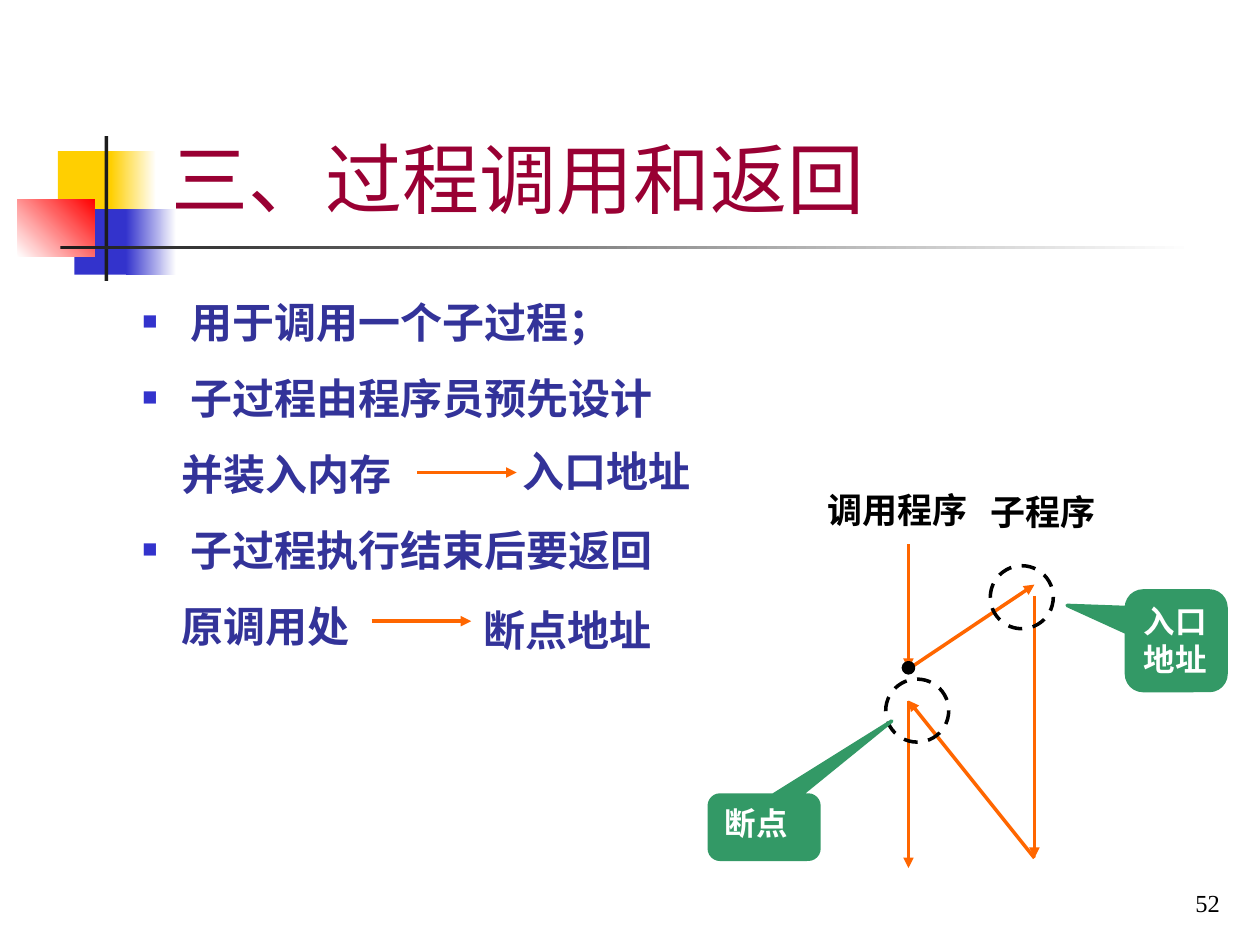
from lxml import etree
from pptx import Presentation
from pptx import util as u
from pptx.dml.color import RGBColor
from pptx.enum import dml, shapes, text
from pptx.oxml.ns import qn

COLS, ROWS = 10, 7.5
UNIT = u.Inches(1)  # one column or row of the slide grid
KIND = shapes.MSO_SHAPE
INK = {
    "gold": "FFCF01", "blue": "3333CC", "red": "FF0000", "white": "FFFFFF",
    "dark": "1C1C1C", "wine": "990033", "navy": "333399", "black": "000000",
    "flow": "FF6600", "green": "339966",
}
SERIF, SANS = "Times New Roman", "Arial"
HEAD = {"size": u.Pt(44), "name": SERIF, "bold": False}
LIST = {"size": u.Pt(24), "name": SERIF, "bold": True}
NOTE = {"size": u.Pt(24), "name": SANS, "bold": True}
LABEL = {"size": u.Pt(20), "name": SANS, "bold": True}
CALL = {"size": u.Pt(18), "name": SERIF, "bold": True}
PAGE = {"size": u.Pt(14), "name": SERIF, "bold": False}
FRAME = {"word_wrap": True, "auto_size": text.MSO_AUTO_SIZE.NONE,
         "vertical_anchor": text.MSO_ANCHOR.TOP}
ROW = {"line_spacing": 1.3, "space_before": u.Pt(4.5),
       "space_after": u.Pt(1.5), "alignment": text.PP_ALIGN.LEFT}
POINTS = [
    ("用于调用一个子过程；", True),
    ("子过程由程序员预先设计", True),
    ("并装入内存", False),
    ("子过程执行结束后要返回", True),
    ("原调用处", False),
]


def grid(*cells):
    return [round(n * UNIT) for n in cells]


def rgb(ink):
    return RGBColor.from_string(INK[ink])


def apply(item, form):
    for key, val in form.items():
        setattr(item, key, val)


def write(para, words, font, ink):
    run = para.add_run()
    run.text = words
    apply(run.font, font)
    run.font.color.rgb = rgb(ink)


def place(item, box):
    apply(item, dict(zip(("left", "top", "width", "height"), grid(*box))))


def draw(slide, kind, box, fill=None, line=None, dash=False):
    item = slide.shapes.add_shape(kind, *grid(*box))
    item.shadow.inherit = False
    if fill:
        item.fill.solid()
        item.fill.fore_color.rgb = rgb(fill)
    else:
        item.fill.background()
    if line:
        item.line.color.rgb = rgb(line)
        item.line.width = u.Pt(2)
        if dash:
            item.line.dash_style = dml.MSO_LINE.DASH
    else:
        item.line.fill.background()
    return item


def fade(slide, box, start, end, angle=0):
    item = draw(slide, KIND.RECTANGLE, box)
    item.fill.gradient()
    item.fill.gradient_angle = angle
    for stop, ink in zip(item.fill.gradient_stops, (start, end)):
        stop.color.rgb = rgb(ink)


def decor(slide):
    draw(slide, KIND.RECTANGLE, (0.46, 1.2, 0.48, 0.52), "gold")
    fade(slide, (0.88, 1.2, 0.36, 0.52), "gold", "white")
    draw(slide, KIND.RECTANGLE, (0.59, 1.66, 0.46, 0.52), "blue")
    fade(slide, (1, 1.66, 0.4, 0.52), "blue", "white")
    fade(slide, (0.14, 1.58, 0.61, 0.46), "white", "red", 45)
    draw(slide, KIND.RECTANGLE, (0.83, 1.08, 0.03, 1.15), "dark")
    fade(slide, (0.48, 1.95, 9, 0.03), "dark", "white")


def title(slide, words):
    item = slide.shapes.title
    place(item, (1.26, 0.23, 8.52, 1.6))
    apply(item.text_frame, FRAME)
    item.text_frame.vertical_anchor = text.MSO_ANCHOR.BOTTOM
    para = item.text_frame.paragraphs[0]
    para.alignment = text.PP_ALIGN.LEFT
    write(para, words, HEAD, "wine")


def bullet(para, shown):
    """Give a list row its square, or the plain indent of a carried-on row."""
    prop = para._p.get_or_add_pPr()
    left, hang = grid(0.38, -0.38) if shown else grid(0.31, 0)
    prop.set("marL", str(left))
    prop.set("indent", str(hang))
    if not shown:
        etree.SubElement(prop, qn("a:buNone"))
        return
    tint = etree.SubElement(prop, qn("a:buClr"))
    etree.SubElement(tint, qn("a:srgbClr"), val=INK["blue"])
    etree.SubElement(prop, qn("a:buSzPct"), val="60000")
    etree.SubElement(prop, qn("a:buFont"), typeface=SANS)
    etree.SubElement(prop, qn("a:buChar"), char="■")


def body(slide, points):
    item = slide.placeholders[1]
    place(item, (1.03, 2.18, 4.49, 3.47))
    frame = item.text_frame
    apply(frame, FRAME)
    for num, (words, shown) in enumerate(points):
        para = frame.add_paragraph() if num else frame.paragraphs[0]
        apply(para, ROW)
        if not num:
            para.space_before = u.Pt(0)
        bullet(para, shown)
        write(para, words, LIST, "navy")


def label(slide, box, words, font, ink, **form):
    frame = slide.shapes.add_textbox(*grid(*box)).text_frame
    apply(frame, FRAME)
    apply(frame.paragraphs[0], form)
    write(frame.paragraphs[0], words, font, ink)
    return frame


def arrow(slide, start, end):
    item = slide.shapes.add_connector(
        shapes.MSO_CONNECTOR.STRAIGHT, *grid(*start, *end))
    item.line.color.rgb = rgb("flow")
    item.line.width = u.Pt(2)
    etree.SubElement(item.line._get_or_add_ln(), qn("a:tailEnd"), type="triangle")
    etree.SubElement(item._element.spPr, qn("a:effectLst"))


def callout(slide, box, tip, words):
    item = draw(slide, KIND.ROUNDED_RECTANGULAR_CALLOUT, box, "green", "green")
    for num, val in enumerate((*tip, 0.167)):
        item.adjustments[num] = val
    apply(item.text_frame, FRAME)
    para = item.text_frame.paragraphs[0]
    para.alignment = text.PP_ALIGN.LEFT
    write(para, words, CALL, "white")


def flow(slide):
    main_x, sub_x = 7.21, 8.21
    call, back, low = (main_x, 5.31), (main_x, 5.56), (sub_x, 6.81)
    label(slide, (6.47, 3.83, 1.5, 0.44), "调用程序", LABEL, "black")
    for start, end in (
        ((main_x, 4.32), call), (call, (sub_x, 4.64)),
        ((sub_x, 4.73), low), (low, back), (back, (main_x, 6.89)),
    ):
        arrow(slide, start, end)
    draw(slide, KIND.OVAL, (7.03, 5.39, 0.5, 0.5), line="black", dash=True)
    callout(slide, (5.63, 6.31, 0.87, 0.51), (1.165, -1.653), "断点")
    draw(slide, KIND.OVAL, (7.86, 4.49, 0.5, 0.5), line="black", dash=True)
    callout(slide, (8.94, 4.69, 0.79, 0.79), (-1.096, -0.355), "入口地址")
    draw(slide, KIND.OVAL, (7.17, 5.26, 0.08, 0.08), "black", "black")
    label(slide, (7.76, 3.84, 1.26, 0.44), "子程序", LABEL, "black")


def notes(slide):
    """Point from the list rows to the addresses they yield."""
    for x, y in ((3.31, 3.75), (2.95, 4.93)):
        arrow(slide, (x, y), (x + 0.79, y))
    label(slide, (4.05, 3.49, 1.58, 0.5), "入口地址", NOTE, "navy")
    label(slide, (3.74, 4.63, 1.58, 0.62), "断点地址", NOTE, "navy", line_spacing=1.3)


def main():
    deck = Presentation()
    deck.slide_width, deck.slide_height = grid(COLS, ROWS)
    slide = deck.slides.add_slide(deck.slide_layouts[1])
    decor(slide)
    title(slide, "三、过程调用和返回")
    body(slide, POINTS)
    flow(slide)
    notes(slide)
    page = label(slide, (7.7, 6.83, 2.08, 0.5), "52", PAGE, "black",
                 alignment=text.PP_ALIGN.RIGHT)
    page.vertical_anchor = text.MSO_ANCHOR.BOTTOM
    deck.save("out.pptx")


if __name__ == "__main__":
    main()
